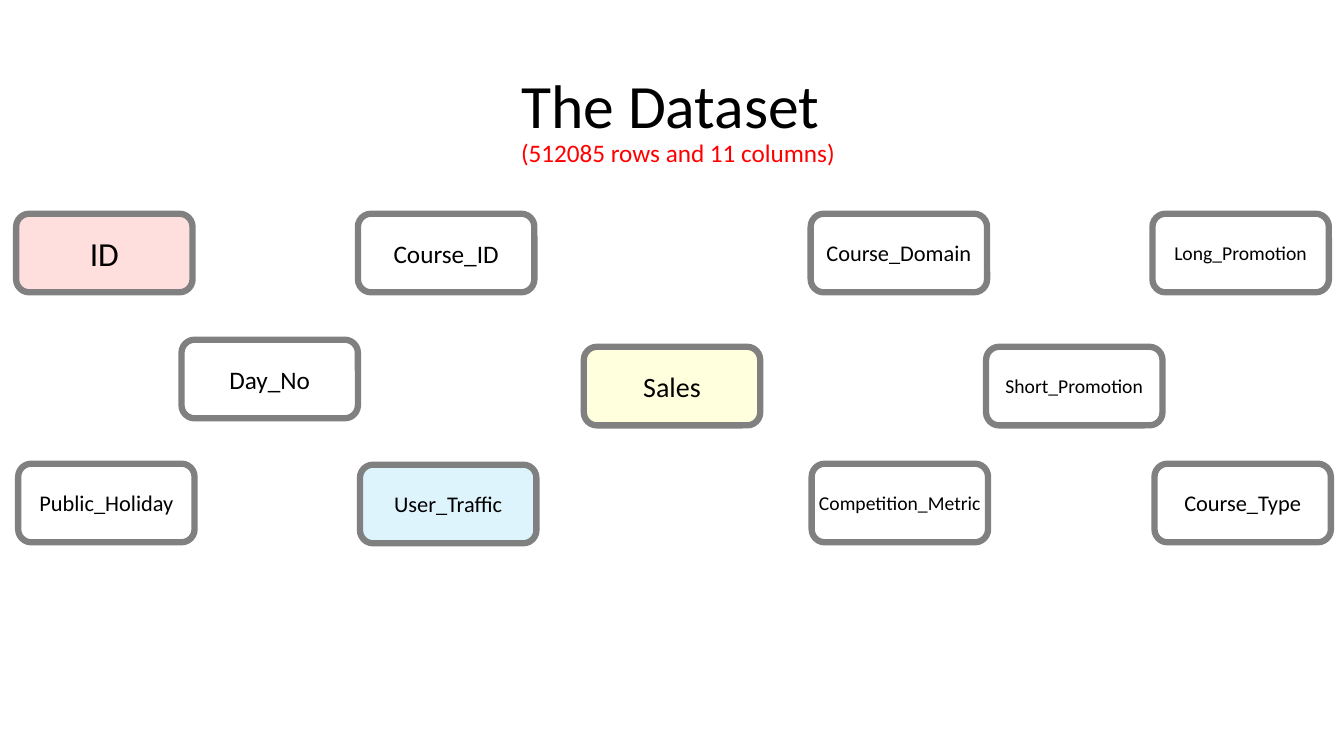
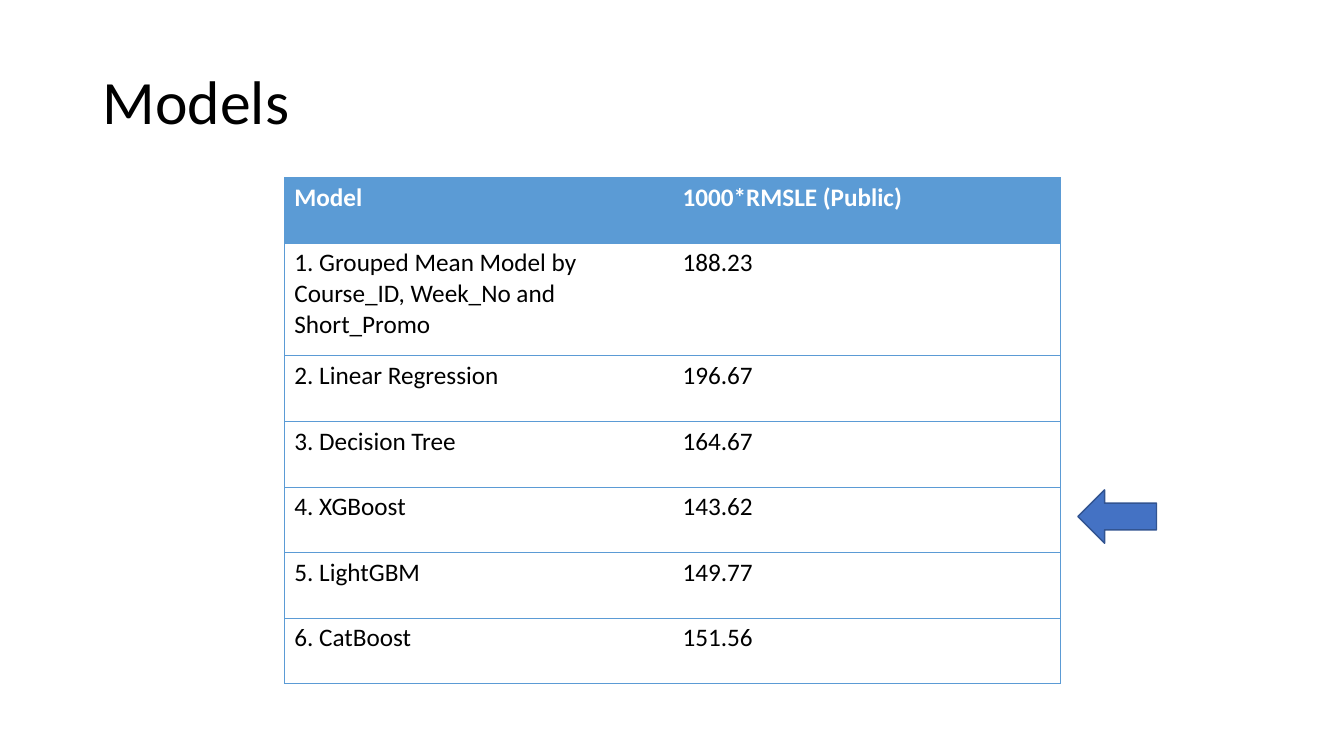
import pptx
import pptx.util
import pptx.dml.color
import pptx.enum.shapes
import pptx.enum.text
import pptx.oxml
import pptx.oxml.ns

PX = 9144
FONT = "Calibri"
COLORS = {
    "text": "000000", "white": "FFFFFF", "note": "FF0000",
    "box_line": "808080", "id": "FF0000", "traffic": "00B0F0", "sales": "FFFF00",
    "table": "5B9BD5", "arrow": "4472C4", "arrow_line": "325491",
}
SHAPE = pptx.enum.shapes.MSO_SHAPE
ALIGN = pptx.enum.text.PP_ALIGN
ANCHOR = pptx.enum.text.MSO_ANCHOR
BOX_W, BOX_H = 175, 78
COLUMNS = [
    (16, 212, "ID", 24, "id"),
    (355, 212, "Course_ID", 18, None),
    (804, 212, "Course_Domain", 16, None),
    (1143, 212, "Long_Promotion", 14, None),
    (180, 337, "Day_No", 18, None),
    (579, 344, "Sales", 20, "sales"),
    (978, 344, "Short_Promotion", 14, None),
    (18, 460, "Public_Holiday", 16, None),
    (357, 461, "User_Traffic", 16, "traffic"),
    (805, 460, "Competition_Metric", 14, None),
    (1145, 460, "Course_Type", 16, None),
]
MODELS = [
    ("Model", "1000*RMSLE (Public)"),
    ("1. Grouped Mean Model by Course_ID, Week_No and Short_Promo", "188.23"),
    ("2. Linear Regression", "196.67"),
    ("3. Decision Tree", "164.67"),
    ("4. XGBoost", "143.62"),
    ("5. LightGBM", "149.77"),
    ("6. CatBoost", "151.56"),
]


def rgb(name):
    """Return the named colour."""
    return pptx.dml.color.RGBColor.from_string(COLORS[name])


def emu(*lengths):
    """Turn px lengths into EMU."""
    return [n * PX for n in lengths]


def write(tf, text, size, color="text", bold=False, align=ALIGN.LEFT):
    """Set one formatted paragraph and return it."""
    tf.text = text
    p = tf.paragraphs[0]
    p.alignment = align
    font = p.runs[0].font
    font.name, font.size, font.bold = FONT, pptx.util.Pt(size), bold
    font.color.rgb = rgb(color)
    return p


def add_slide(prs, title, box, align=ALIGN.LEFT):
    """Add a slide with its title placed in box."""
    s = prs.slides.add_slide(prs.slide_layouts[5])
    sp = s.shapes.title
    sp.left, sp.top, sp.width, sp.height = emu(*box)
    sp.text_frame.vertical_anchor = ANCHOR.MIDDLE
    write(sp.text_frame, title, 44, align=align).line_spacing = 0.9
    return s


def add_shape(s, kind, box, line, width):
    """Add an outlined shape without shadow."""
    sp = s.shapes.add_shape(kind, *emu(*box))
    sp.shadow.inherit = False
    sp.line.color.rgb = rgb(line)
    sp.line.width = pptx.util.Pt(width)
    return sp


def add_column_box(s, x, y, name, size, tint):
    """Add a rounded box naming one dataset column."""
    sp = add_shape(s, SHAPE.FLOWCHART_ALTERNATE_PROCESS,
                   (x, y, BOX_W, BOX_H), "box_line", 4.5)
    if tint:
        sp.fill.solid()
        sp.fill.fore_color.rgb = rgb(tint)
        clr = sp.fill._xPr.find(".//" + pptx.oxml.ns.qn("a:srgbClr"))
        clr.append(pptx.oxml.parse_xml(
            f'<a:alpha {pptx.oxml.ns.nsdecls("a")} val="13000"/>'))
    else:
        sp.fill.background()
    tf = sp.text_frame
    tf.word_wrap = False
    tf.vertical_anchor = ANCHOR.MIDDLE
    write(tf, name, size, align=ALIGN.CENTER)


def set_borders(cell, sides):
    """Draw thin borders on the given sides of a cell."""
    tcPr = cell._tc.get_or_add_tcPr()
    for side in sides:
        tcPr.append(pptx.oxml.parse_xml(
            f'<a:ln{side} {pptx.oxml.ns.nsdecls("a")} w="6350"><a:solidFill>'
            f'<a:srgbClr val="{COLORS["table"]}"/></a:solidFill></a:ln{side}>'))


def add_model_table(s, box, rows, heights):
    """Add the table of model scores."""
    tbl = s.shapes.add_table(len(rows), 2, *emu(*box)).table
    style = tbl._tbl.tblPr.find(pptx.oxml.ns.qn("a:tableStyleId"))
    style.text = "{2D5ABB26-0587-4C30-8999-92F81FD0307C}"
    tbl.horz_banding = False
    for i, row in enumerate(rows):
        tbl.rows[i].height = heights[i] * PX
        for j, text in enumerate(row):
            cell = tbl.cell(i, j)
            set_borders(cell, "RTB" if j else "LTB")
            if i == 0:
                cell.fill.solid()
                cell.fill.fore_color.rgb = rgb("table")
            else:
                cell.fill.background()
            write(cell.text_frame, text, 18, "text" if i else "white", i == 0)


def dataset_slide(prs):
    """Build the slide of dataset columns."""
    s = add_slide(prs, "The Dataset", (165, 55, 1000, 106), ALIGN.CENTER)
    for column in COLUMNS:
        add_column_box(s, *column)
    tf = s.shapes.add_textbox(*emu(505, 131, 335, 40)).text_frame
    tf.word_wrap = False
    write(tf, "(512085 rows and 11 columns)", 18, "note", align=ALIGN.CENTER)


def models_slide(prs):
    """Build the slide that compares models."""
    s = add_slide(prs, "Models", (92, 31, 1150, 145))
    heights = [65, 112] + [65] * 5
    add_model_table(s, (282, 176, 770, sum(heights)), MODELS, heights)
    sp = add_shape(s, SHAPE.LEFT_ARROW, (1069, 486, 78, 53), "arrow_line", 1)
    sp.fill.solid()
    sp.fill.fore_color.rgb = rgb("arrow")


def main():
    """Build and save the presentation."""
    prs = pptx.Presentation()
    prs.slide_width, prs.slide_height = emu(1333, 750)
    dataset_slide(prs)
    models_slide(prs)
    prs.save("out.pptx")


if __name__ == "__main__":
    main()
